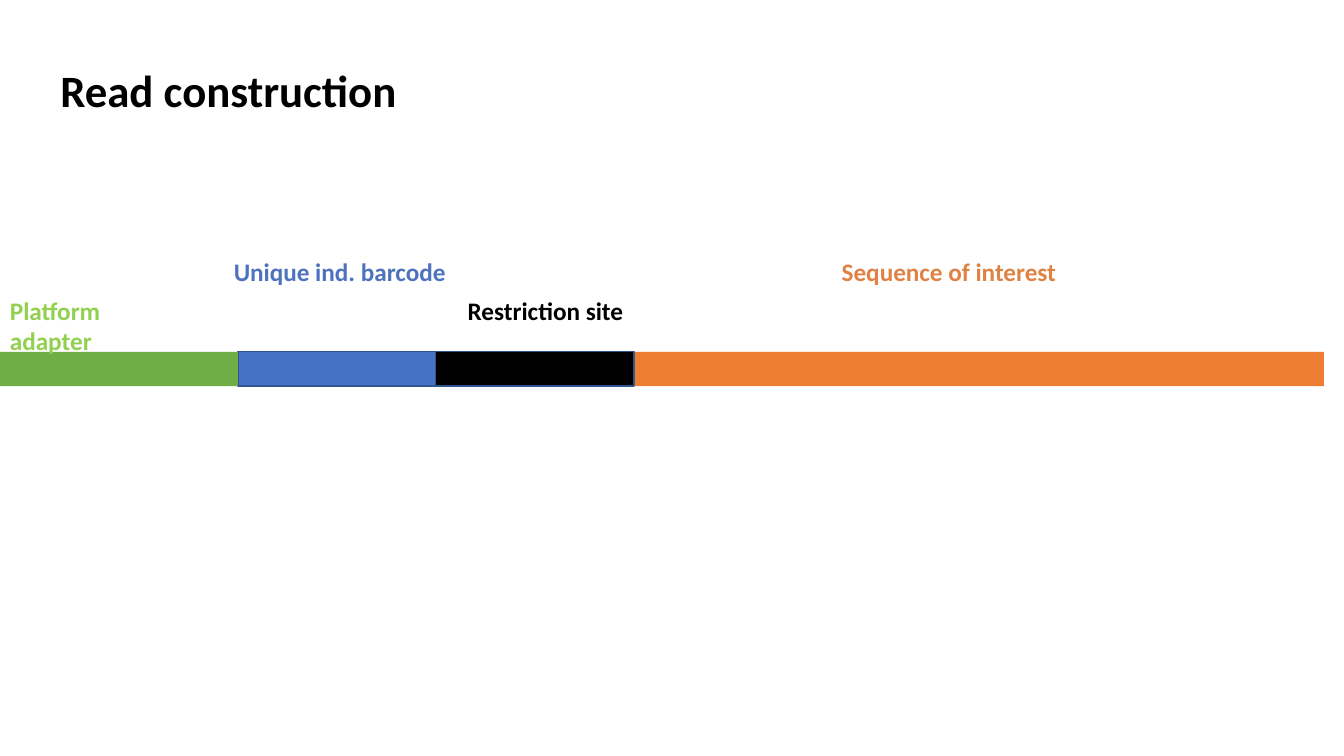
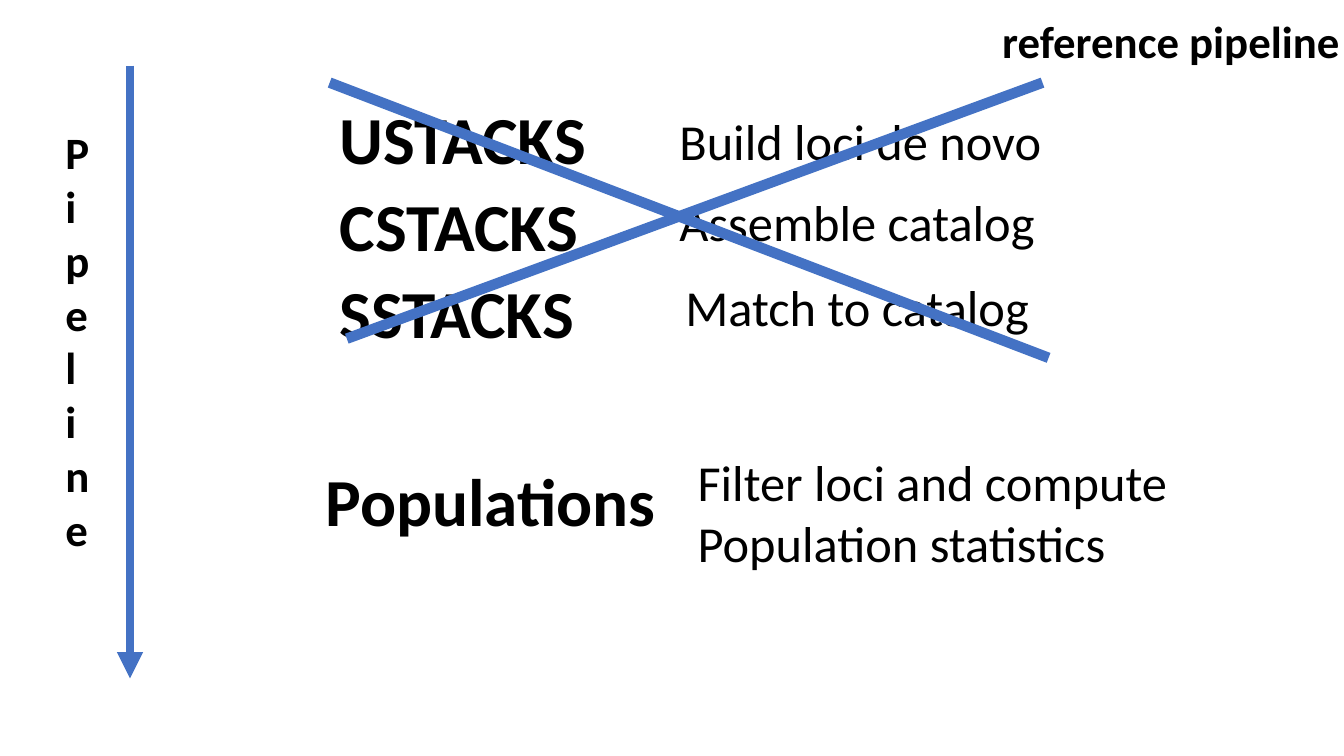
from pptx import Presentation
from pptx.dml.color import RGBColor
from pptx.enum.shapes import MSO_CONNECTOR, MSO_SHAPE
from pptx.enum.text import MSO_AUTO_SIZE
from pptx.oxml.ns import qn
from pptx.util import Inches, Pt
from lxml import etree

BLACK = RGBColor(0x00, 0x00, 0x00)
BLUE = RGBColor(0x44, 0x72, 0xC4)
BLUE_EDGE = RGBColor(0x32, 0x54, 0x91)
BLUE_TEXT = RGBColor(0x4D, 0x72, 0xBE)
GREEN = RGBColor(0x70, 0xAD, 0x47)
GREEN_TEXT = RGBColor(0x92, 0xD0, 0x50)
ORANGE = RGBColor(0xED, 0x7D, 0x31)
ORANGE_TEXT = RGBColor(0xDF, 0x82, 0x44)

TITLE = {"name": "Calibri", "size": Pt(32), "bold": True}
LABEL = {"name": "Calibri", "size": Pt(18), "bold": True}
PROGRAM = {"name": "Calibri", "size": Pt(48), "bold": True}
PURPOSE = {"name": "Calibri", "size": Pt(36), "bold": False}


def add_text(s, lines, left, top, width, height, style, color=BLACK, wrap=False):
    """Add a text box with one paragraph per line."""
    tb = s.shapes.add_textbox(Inches(left), Inches(top), Inches(width), Inches(height))
    tf = tb.text_frame
    tf.word_wrap = wrap
    tf.auto_size = MSO_AUTO_SIZE.SHAPE_TO_FIT_TEXT
    for i, line in enumerate(lines):
        p = tf.paragraphs[0] if i == 0 else tf.add_paragraph()
        r = p.add_run()
        r.text = line
        for key, value in style.items():
            setattr(r.font, key, value)
        r.font.color.rgb = color


def add_line(s, x1, y1, x2, y2, weight, arrow=False):
    line = s.shapes.add_connector(
        MSO_CONNECTOR.STRAIGHT, Inches(x1), Inches(y1), Inches(x2), Inches(y2))
    line.line.color.rgb = BLUE
    line.line.width = Pt(weight)
    if arrow:
        ln = line.line._get_or_add_ln()
        etree.SubElement(ln, qn("a:tailEnd"), type="triangle")
    etree.SubElement(line._element.spPr, qn("a:effectLst"))


prs = Presentation()
prs.slide_width, prs.slide_height = Inches(13.33), Inches(7.5)
blank = prs.slide_layouts[6]

# Read construction
s = prs.slides.add_slide(blank)
add_text(s, ["Read construction"], 0.5, 0.57, 3.57, 0.64, TITLE)

segments = [  # left, width, fill, edge
    (5.45, 7.68, ORANGE, None),
    (2.36, 1.97, BLUE, BLUE_EDGE),
    (4.32, 1.97, BLACK, BLUE_EDGE),
    (0, 2.36, GREEN, None),
]
for left, width, fill, edge in segments:
    sp = s.shapes.add_shape(
        MSO_SHAPE.RECTANGLE, Inches(left), Inches(3.49), Inches(width), Inches(0.34))
    sp.shadow.inherit = False
    sp.fill.solid()
    sp.fill.fore_color.rgb = fill
    if edge is None:
        sp.line.fill.background()
    else:
        sp.line.color.rgb = edge
        sp.line.width = Pt(1)

labels = [
    ("Platform adapter", 0, 2.88, 1.93, GREEN_TEXT),
    ("Unique ind. barcode", 2.22, 2.49, 2.32, BLUE_TEXT),
    ("Restriction site", 4.54, 2.88, 1.76, BLACK),
    ("Sequence of interest", 8.25, 2.49, 2.34, ORANGE_TEXT),
]
for text, left, top, width, color in labels:
    add_text(s, [text], left, top, width, 0.4, LABEL, color)

# Reference pipeline
s = prs.slides.add_slide(blank)
programs = [
    ("USTACKS", 3.27, 0.92, 2.67),
    ("CSTACKS", 3.27, 1.78, 2.59),
    ("SSTACKS", 3.27, 2.64, 2.55),
    ("Populations", 3.13, 4.51, 3.51),
]
for text, left, top, width in programs:
    add_text(s, [text], left, top, width, 0.91, PROGRAM)

purposes = [
    (["Build loci de novo"], 6.64, 1.04, 3.83, 0.71),
    (["Assemble catalog"], 6.64, 1.85, 3.76, 0.71),
    (["Match to catalog"], 6.7, 2.69, 3.64, 0.71),
    (["Filter loci and compute", "Population statistics"], 6.82, 4.43, 5.01, 1.31),
]
for lines, *box in purposes:
    add_text(s, lines, *box, PURPOSE)

add_text(s, ["reference pipeline"], 9.84, 0.09, 3.58, 0.64, TITLE)
add_text(s, "Pipeline", 0.55, 1.19, 0.52, 4.41, TITLE, wrap=True)
add_line(s, 1.29, 0.65, 1.29, 6.73, 6.25, arrow=True)
add_line(s, 3.44, 3.36, 10.34, 0.82, 7.5)
add_line(s, 3.27, 0.82, 10.4, 3.55, 7.5)

prs.save("out.pptx")
